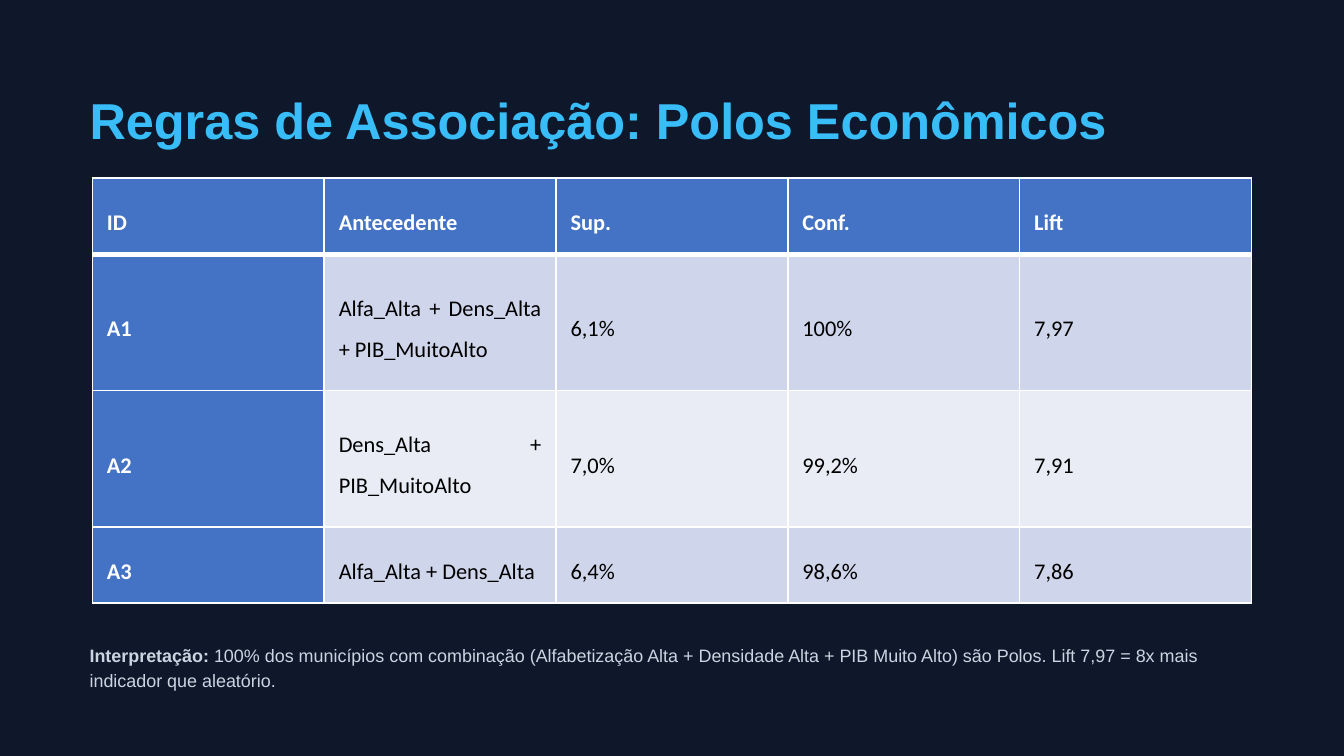
"""Build the slide on association rules for economic hubs."""
from dataclasses import dataclass
from typing import NamedTuple

from lxml.etree import SubElement
from pptx import Presentation
from pptx.dml.color import RGBColor
from pptx.enum.text import MSO_ANCHOR as Anchor, PP_ALIGN as Align
from pptx.oxml.ns import qn
from pptx.util import Pt


@dataclass(frozen=True)
class Theme:
    background: str = "0F172A"
    title: str = "38BDF8"
    note: str = "CBD5E1"
    accent: str = "4472C4"
    bands: tuple = ("CFD5EA", "E9EBF5")
    light: str = "FFFFFF"
    dark: str = "000000"
    text_font: str = "Arial"
    table_font: str = "Calibri"
    title_size: float = 27
    note_size: float = 9.6
    table_size: float = 12
    thin: float = 1
    thick: float = 3


class Rule(NamedTuple):
    name: str
    antecedent: str
    support: str
    confidence: str
    lift: str
    height: float


class Area(NamedTuple):
    left: float
    top: float
    width: float
    height: float


THEME = Theme()
TITLE_AREA = Area(48, 48, 636.5, 32.4)
NOTE_AREA = Area(48, 343.4, 624, 26.8)
TABLE_AREA = Area(49.5, 95.5, 621, 227.6)
ROWS = [
    Rule("ID", "Antecedente", "Sup.", "Conf.", "Lift", 40.8),
    Rule("A1", "Alfa_Alta + Dens_Alta + PIB_MuitoAlto", "6,1%", "100%", "7,97", 73),
    Rule("A2", "Dens_Alta + PIB_MuitoAlto", "7,0%", "99,2%", "7,91", 73),
    Rule("A3", "Alfa_Alta + Dens_Alta", "6,4%", "98,6%", "7,86", 40.8),
]


def add_text(para, text: str, *, font: str, size: float, color: str, bold: bool = False) -> None:
    span = para.add_run()
    span.text = text
    span.font.name = font
    span.font.size = Pt(size)
    span.font.bold = bold
    span.font.color.rgb = RGBColor.from_string(color)


def add_box(page, area: Area, line_height: float):
    frame = page.shapes.add_textbox(*map(Pt, area)).text_frame
    frame.word_wrap = True
    frame.margin_left = frame.margin_right = frame.margin_top = frame.margin_bottom = 0
    para = frame.paragraphs[0]
    para.line_spacing = Pt(line_height)
    return para


def set_border(cell, side: str, width: float) -> None:
    line = SubElement(cell._tc.get_or_add_tcPr(), qn(f"a:ln{side}"), w=str(Pt(width)))
    SubElement(SubElement(line, qn("a:solidFill")), qn("a:srgbClr"), val=THEME.light)


def format_cell(cell, text: str, row: int, column: int) -> None:
    heading = row == 0 or column == 0
    cell.margin_left = cell.margin_right = Pt(7.8)
    cell.margin_top = cell.margin_bottom = Pt(4)
    cell.vertical_anchor = Anchor.MIDDLE
    widths = {
        "L": THEME.thin,
        "R": THEME.thin,
        "T": THEME.thick if row == 1 else THEME.thin,
        "B": THEME.thick if row == 0 else THEME.thin,
    }
    for side, width in widths.items():
        set_border(cell, side, width)
    cell.fill.solid()
    fill = THEME.accent if heading else THEME.bands[(row - 1) % 2]
    cell.fill.fore_color.rgb = RGBColor.from_string(fill)
    para = cell.text_frame.paragraphs[0]
    para.alignment = Align.JUSTIFY
    para.line_spacing = 1.5
    para.space_after = Pt(6)
    add_text(para, text, font=THEME.table_font, size=THEME.table_size,
             color=THEME.light if heading else THEME.dark, bold=heading)


def add_rules(page, area: Area, rules: list[Rule]) -> None:
    columns = len(Rule._fields) - 1
    table = page.shapes.add_table(len(rules), columns, *map(Pt, area)).table
    for column in table.columns:
        column.width = Pt(area.width / columns)
    for row, rule in enumerate(rules):
        table.rows[row].height = Pt(rule.height)
        for column, text in enumerate(rule[:columns]):
            format_cell(table.cell(row, column), text, row, column)


def main() -> None:
    deck = Presentation()
    deck.slide_width, deck.slide_height = Pt(720), Pt(405)
    page = deck.slides.add_slide(deck.slide_layouts[6])
    page.background.fill.solid()
    page.background.fill.fore_color.rgb = RGBColor.from_string(THEME.background)

    title = add_box(page, TITLE_AREA, 32.4)
    add_text(title, "Regras de Associação: Polos Econômicos", font=THEME.text_font,
             size=THEME.title_size, color=THEME.title, bold=True)

    note = add_box(page, NOTE_AREA, 13.4)
    note_format = dict(font=THEME.text_font, size=THEME.note_size, color=THEME.note)
    add_text(note, "Interpretação:", bold=True, **note_format)
    add_text(note, " 100% dos municípios com combinação (Alfabetização Alta + Densidade Alta"
             " + PIB Muito Alto) são Polos. Lift 7,97 = 8x mais indicador que aleatório.",
             **note_format)

    add_rules(page, TABLE_AREA, ROWS)
    deck.save("out.pptx")


if __name__ == "__main__":
    main()
